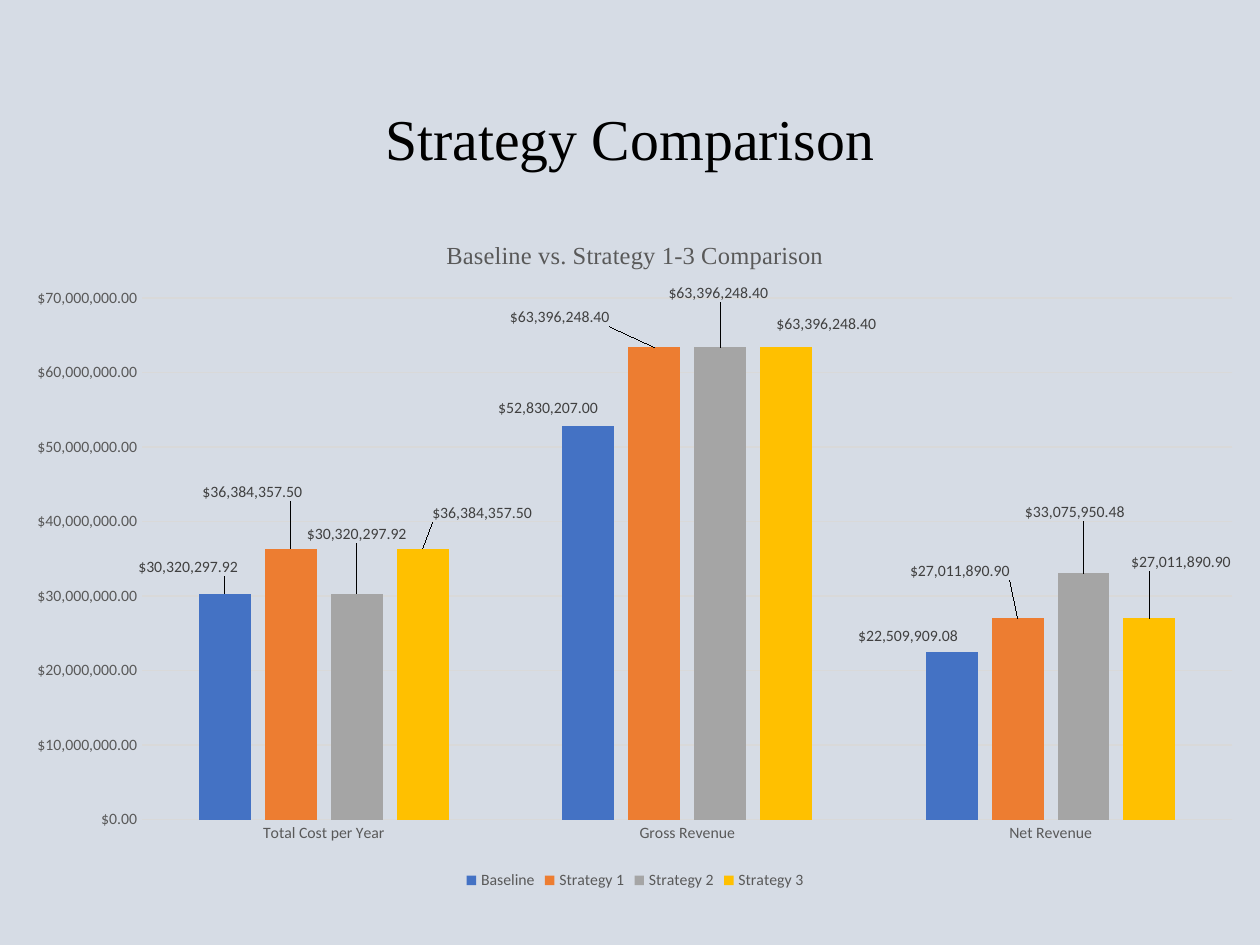
from dataclasses import dataclass

from lxml.etree import SubElement
from pptx import Presentation
from pptx.chart.data import CategoryChartData
from pptx.dml.color import RGBColor
from pptx.enum.chart import XL_CHART_TYPE as ChartType
from pptx.enum.chart import XL_LABEL_POSITION as LabelPosition
from pptx.enum.chart import XL_LEGEND_POSITION as LegendPosition
from pptx.enum.chart import XL_TICK_MARK as TickMark
from pptx.enum.text import MSO_ANCHOR as Anchor
from pptx.enum.text import PP_ALIGN as Align
from pptx.oxml.ns import qn
from pptx.util import Pt


@dataclass(frozen=True)
class Theme:
    """Colours, fonts and type sizes of the deck."""
    background: str = "D6DCE5"
    title: str = "000000"
    muted: str = "595959"
    label: str = "404040"
    rule: str = "D9D9D9"
    serif: str = "Times New Roman"
    sans: str = "Calibri"
    title_size: float = 33
    chart_title_size: float = 14
    small_size: float = 9


@dataclass(frozen=True)
class Box:
    """A region of the page in points."""
    left: float
    top: float
    width: float
    height: float

    def lengths(self):
        """Return the region as python-pptx lengths."""
        return Pt(self.left), Pt(self.top), Pt(self.width), Pt(self.height)


THEME = Theme()
MONEY = '"$"#,##0.00'
CATEGORIES = ["Total Cost per Year", "Gross Revenue", "Net Revenue"]
STRATEGIES = [
    ("Baseline", "4472C4", (30320297.92, 52830207, 22509909.08),
     ((-21, -7), (-23, -2), (-25, -1))),
    ("Strategy 1", "ED7D31", (36384357.5, 63396248.4, 27011890.9),
     ((-22, -24), (-54, -9), (-33, -19))),
    ("Strategy 2", "A5A5A5", (30320297.92, 63396248.4, 33075950.48),
     ((0, -26), (-1, -23), (-5, -27))),
    ("Strategy 3", "FFC000", (36384357.5, 63396248.4, 27011890.9),
     ((34, -12), (23, -5), (18, -24))),
]


def style_font(font, name, size, color):
    """Set the face, size and colour of a font."""
    font.name, font.size, font.bold = name, Pt(size), False
    font.color.rgb = RGBColor.from_string(color)


def style_line(line, color):
    """Give a line the thin rule style."""
    line.width = Pt(0.75)
    line.color.rgb = RGBColor.from_string(color)


def add_layout(anchor, settings):
    """Insert a manual chart layout after an element."""
    layout = anchor.makeelement(qn("c:layout"))
    manual = SubElement(layout, qn("c:manualLayout"))
    for name, value in settings.items():
        SubElement(manual, qn(f"c:{name}")).set("val", str(value))
    anchor.addnext(layout)


def add_title(page, box, text):
    """Place the centred slide title."""
    frame = page.shapes.add_textbox(*box.lengths()).text_frame
    frame.word_wrap = True
    frame.vertical_anchor = Anchor.MIDDLE
    para = frame.paragraphs[0]
    para.text = text
    para.alignment = Align.CENTER
    para.line_spacing = 0.9
    style_font(para.font, THEME.serif, THEME.title_size, THEME.title)


def style_axes(chart):
    """Format both axes and the gridlines."""
    for axis in (chart.category_axis, chart.value_axis):
        axis.major_tick_mark = axis.minor_tick_mark = TickMark.NONE
        style_font(axis.tick_labels.font, THEME.sans, THEME.small_size, THEME.muted)
    style_line(chart.category_axis.format.line, THEME.rule)
    values = chart.value_axis
    values.minimum_scale, values.maximum_scale, values.major_unit = 0, 70000000, 10000000
    values.tick_labels.number_format = MONEY
    values.tick_labels.number_format_is_linked = False
    values.format.line.fill.background()
    style_line(values.major_gridlines.format.line, THEME.rule)


def style_series(series, color, offsets, box):
    """Colour a series and shift its value labels."""
    series.format.fill.solid()
    series.format.fill.fore_color.rgb = RGBColor.from_string(color)
    labels = series.data_labels
    labels.show_value = True
    labels.number_format, labels.number_format_is_linked = MONEY, False
    labels.position = LabelPosition.OUTSIDE_END
    style_font(labels.font, THEME.sans, THEME.small_size, THEME.label)
    for index in range(len(offsets)):
        label = series.points[index].data_label
        style_font(label.font, THEME.sans, THEME.small_size, THEME.label)
        label.position = LabelPosition.OUTSIDE_END
    for node, (across, down) in zip(series._element.iter(qn("c:dLbl")), offsets):
        add_layout(node.find(qn("c:idx")),
                   {"x": across / box.width, "y": down / box.height})


def add_comparison_chart(page, box, plot_box):
    """Place the clustered columns with title, legend and labels."""
    data = CategoryChartData(number_format=MONEY)
    data.categories = CATEGORIES
    for name, _, values, _ in STRATEGIES:
        data.add_series(name, values)
    chart = page.shapes.add_chart(ChartType.COLUMN_CLUSTERED, *box.lengths(), data).chart
    style_font(chart.font, THEME.sans, 10, THEME.title)
    chart.has_title = True
    para = chart.chart_title.text_frame.paragraphs[0]
    para.text = "Baseline vs. Strategy 1-3 Comparison"
    style_font(para.font, THEME.serif, THEME.chart_title_size, THEME.muted)
    chart.chart_title.include_in_layout = False
    chart.has_legend = True
    chart.legend.position = LegendPosition.BOTTOM
    chart.legend.include_in_layout = False
    style_font(chart.legend.font, THEME.sans, THEME.small_size, THEME.muted)
    style_axes(chart)
    plot = chart.plots[0]
    plot.gap_width, plot.overlap, plot.vary_by_categories = 219, -27, False
    for series, (_, color, _, offsets) in zip(plot.series, STRATEGIES):
        style_series(series, color, offsets, box)
    area = chart._chartSpace.find(f".//{qn('c:plotArea')}")
    for old in area.findall(qn("c:layout")):
        area.remove(old)
    add_layout(area[0], {
        "layoutTarget": "inner", "xMode": "edge", "yMode": "edge",
        "x": plot_box.left / box.width, "y": plot_box.top / box.height,
        "w": plot_box.width / box.width, "h": plot_box.height / box.height})
    area.insert(0, area.find(qn("c:layout")))


def main():
    """Build and save the deck."""
    deck = Presentation()
    deck.slide_width, deck.slide_height = Pt(720), Pt(540)
    page = deck.slides.add_slide(deck.slide_layouts[6])
    page.background.fill.solid()
    page.background.fill.fore_color.rgb = RGBColor.from_string(THEME.background)
    add_title(page, Box(49.5, 28.8, 621, 104.4), "Strategy Comparison")
    add_comparison_chart(page, Box(7.2, 122.4, 711.4, 388.8), Box(74, 48, 623, 298))
    deck.save("out.pptx")


if __name__ == "__main__":
    main()
